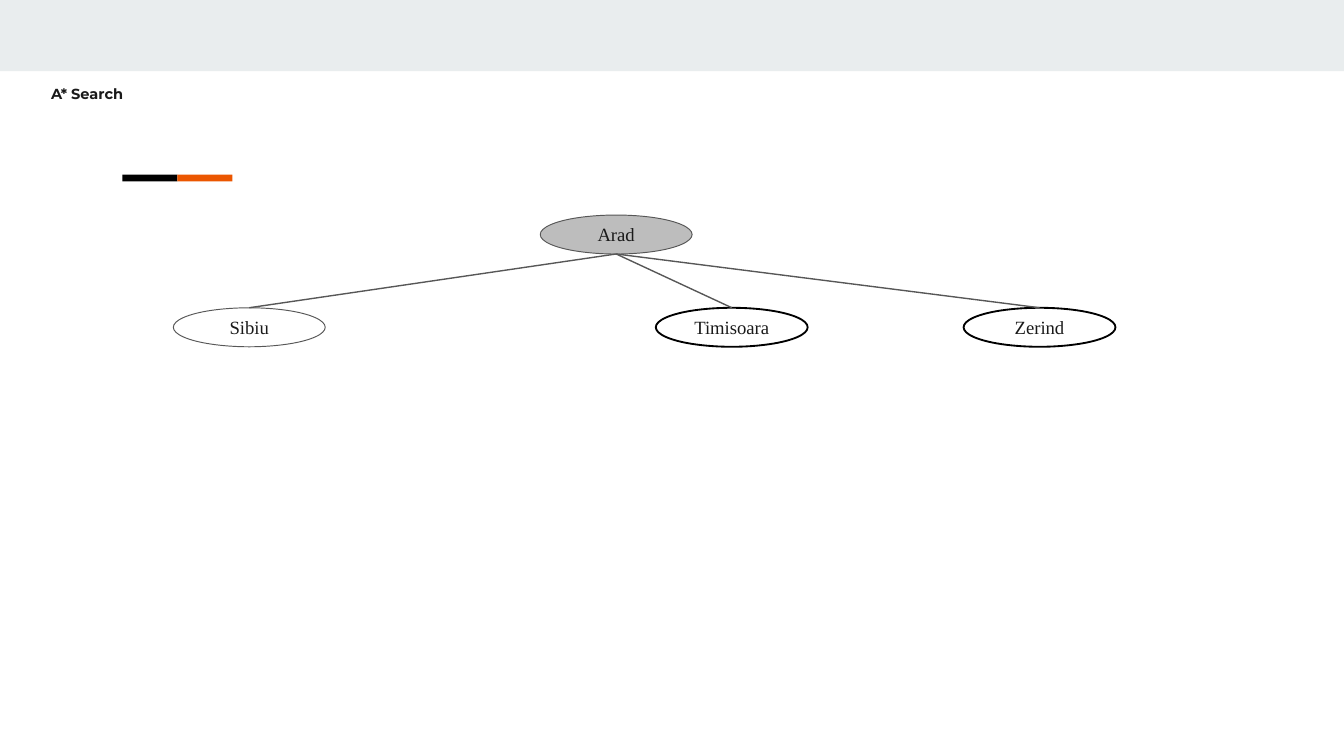
from lxml.etree import SubElement
from pptx import Presentation
from pptx.dml.color import RGBColor
from pptx.enum.shapes import MSO_CONNECTOR, MSO_SHAPE
from pptx.enum.text import MSO_ANCHOR, MSO_AUTO_SIZE, PP_ALIGN
from pptx.oxml.ns import qn
from pptx.util import Inches, Pt

BAND = RGBColor(0xE9, 0xED, 0xEE)
ORANGE = RGBColor(0xEB, 0x56, 0x00)
BLACK = RGBColor(0x00, 0x00, 0x00)
GREY = RGBColor(0x57, 0x57, 0x57)
EXPANDED = RGBColor(0xBD, 0xBD, 0xBD)
INK = RGBColor(0x1A, 0x1A, 0x1A)

NODE_WIDTH, NODE_HEIGHT = 1.13, 0.29
ROOT_TOP, CHILD_TOP = 1.6, 2.29


def add_filled(kind, left, top, width, height, color):
    """Add a preset shape without outline or shadow; no color means no fill."""
    shape = slide.shapes.add_shape(
        kind, Inches(left), Inches(top), Inches(width), Inches(height))
    shape.shadow.inherit = False
    shape.line.fill.background()
    if color is None:
        shape.fill.background()
    else:
        shape.fill.solid()
        shape.fill.fore_color.rgb = color
    return shape


def write_text(shape, text, frame_format, align, font_format):
    """Put one formatted line of text into a shape."""
    frame = shape.text_frame
    frame.text = text
    for name, value in frame_format.items():
        setattr(frame, name, value)
    paragraph = frame.paragraphs[0]
    paragraph.alignment = align
    font = paragraph.runs[0].font
    for name, value in font_format.items():
        setattr(font, name, value)
    font.color.rgb = INK


prs = Presentation()
# Widescreen 16:9
prs.slide_width, prs.slide_height = Inches(10), Inches(10 * 9 / 16)
slide = prs.slides.add_slide(prs.slide_layouts[5])

# Header band and two-colour accent
add_filled(MSO_SHAPE.RECTANGLE, 0, 0, 10, 0.53, BAND)
for index, color in enumerate([BLACK, ORANGE]):
    add_filled(MSO_SHAPE.RECTANGLE, 0.91 + index * 0.41, 1.3, 0.41, 0.05, color)

# Title
title = slide.shapes.title
title.left, title.top = Inches(0.28), Inches(0.53)
title.width, title.height = Inches(1.79), Inches(0.59)
title_frame = {
    "word_wrap": True, "auto_size": MSO_AUTO_SIZE.NONE,
    "vertical_anchor": MSO_ANCHOR.TOP,
    "margin_left": Inches(0.1), "margin_right": Inches(0.1),
    "margin_top": Inches(0.1), "margin_bottom": Inches(0.1),
}
write_text(title, "A* Search", title_frame, PP_ALIGN.LEFT,
           {"name": "Montserrat", "size": Pt(7.8), "bold": True})

# Search tree: city, left, top, fill, outline colour, outline width
cities = [
    ("Arad", 4.02, ROOT_TOP, EXPANDED, GREY, 0.51),
    ("Sibiu", 1.29, CHILD_TOP, None, GREY, 0.51),
    ("Timisoara", 4.88, CHILD_TOP, None, BLACK, 0.99),
    ("Zerind", 7.17, CHILD_TOP, None, BLACK, 0.99),
]
node_frame = {
    "word_wrap": True, "vertical_anchor": MSO_ANCHOR.MIDDLE,
    "margin_left": Inches(0.1), "margin_right": Inches(0.1),
    "margin_top": Inches(0.05), "margin_bottom": Inches(0.05),
}
for city, left, top, fill, outline, weight in cities:
    node = add_filled(MSO_SHAPE.OVAL, left, top, NODE_WIDTH, NODE_HEIGHT, fill)
    node.line.color.rgb = outline
    node.line.width = Pt(weight)
    write_text(node, city, node_frame, PP_ALIGN.CENTER,
               {"name": "Times New Roman", "size": Pt(10)})

# Branches from the root's bottom to each child's top
root_left = cities[0][1]
for city, left, *_ in cities[1:]:
    branch = slide.shapes.add_connector(
        MSO_CONNECTOR.STRAIGHT,
        Inches(root_left + NODE_WIDTH / 2), Inches(ROOT_TOP + NODE_HEIGHT),
        Inches(left + NODE_WIDTH / 2), Inches(CHILD_TOP))
    branch.line.color.rgb = GREY
    branch.line.width = Pt(0.75)
    SubElement(branch._element.spPr, qn("a:effectLst"))

prs.save("out.pptx")
